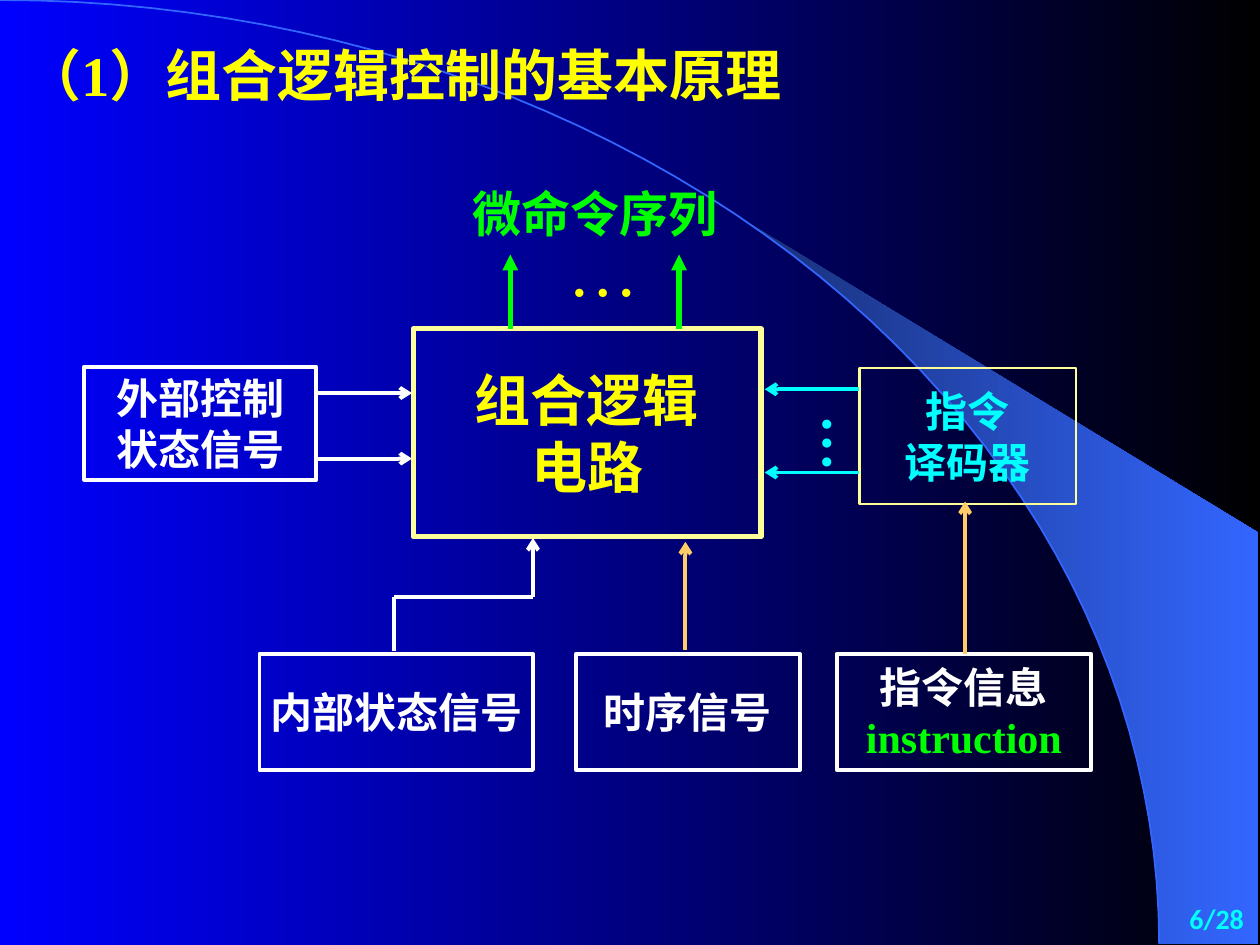
from dataclasses import dataclass
from math import asin, cos, pi, sin

from pptx import Presentation
from pptx.dml.color import RGBColor
from pptx.enum.shapes import MSO_CONNECTOR, MSO_SHAPE
from pptx.enum.text import MSO_ANCHOR, PP_ALIGN
from pptx.oxml.ns import qn
from pptx.util import Inches, Pt


@dataclass(frozen=True)
class Theme:
    blue: str = "0000FF"
    black: str = "000000"
    navy: str = "182F76"
    azure: str = "3366FF"
    yellow: str = "FFFF00"
    cream: str = "FFFF99"
    green: str = "00FF00"
    cyan: str = "00FFFF"
    orange: str = "FFCC66"
    white: str = "FFFFFF"
    latin: str = "Times New Roman"
    cjk: str = "Noto Sans CJK SC"
    number: str = "Calibri"
    dots: int = 40
    large: int = 32
    heading: int = 28
    body: int = 24
    small: int = 16
    thick: float = 3
    medium: float = 2.25
    thin: float = 1.5
    hairline: float = 1


class Diagram:
    COLS, ROWS = 100, 75

    def __init__(self, prs, theme):
        self.theme = theme
        self.cell_w = prs.slide_width / self.COLS
        self.cell_h = prs.slide_height / self.ROWS
        self.slide = prs.slides.add_slide(prs.slide_layouts[5])
        self.shapes = self.slide.shapes

    def point(self, col, row):
        return round(col * self.cell_w), round(row * self.cell_h)

    def box_at(self, col, row, cols, rows):
        return *self.point(col, row), *self.point(cols, rows)

    def gradient(self, fill, *colors):
        fill.gradient()
        fill.gradient_angle = 0
        for i, color in enumerate(colors):
            stop = fill.gradient_stops[i]
            stop.position = i
            stop.color.rgb = RGBColor.from_string(color)

    def background(self, *colors):
        self.gradient(self.slide.background.fill, *colors)

    def outline(self, points, closed):
        start, *rest = [self.point(*xy) for xy in points]
        builder = self.shapes.build_freeform(*start)
        builder.add_line_segments(rest, close=closed)
        sp = builder.convert_to_shape()
        sp.shadow.inherit = False
        return sp

    def wing(self, points, *colors):
        sp = self.outline(points, True)
        self.gradient(sp.fill, *colors)
        sp.line.fill.background()

    def curve(self, points, color, width):
        sp = self.outline(points, False)
        sp.fill.background()
        self.stroke(sp.line, color, width)

    def stroke(self, line, color, width):
        line.color.rgb = RGBColor.from_string(color)
        line.width = Pt(width)

    def set_text(self, sp, text, size, color, font=None, bold=True,
                 align=PP_ALIGN.CENTER, anchor=MSO_ANCHOR.TOP, wrap=True):
        tf = sp.text_frame
        tf.text = text
        tf.word_wrap = wrap
        tf.vertical_anchor = anchor
        tf.margin_left = tf.margin_right = Inches(0.1)
        tf.margin_top = tf.margin_bottom = Inches(0.05)
        for p in tf.paragraphs:
            p.alignment = align
            for r in p.runs:
                r.font.name = font or self.theme.latin
                r.font.size = Pt(size)
                r.font.bold = bold
                r.font.color.rgb = RGBColor.from_string(color)
                rpr = r.font._element
                rpr.set("lang", "zh-CN")
                ea = rpr.makeelement(qn("a:ea"), {"typeface": self.theme.cjk})
                rpr.find(qn("a:latin")).addnext(ea)
        return tf

    def title(self, place, text, size, color):
        sp = self.shapes.title
        sp.left, sp.top, sp.width, sp.height = self.box_at(*place)
        self.set_text(sp, text, size, color, align=PP_ALIGN.LEFT)
        self.shapes._spTree.append(sp._element)

    def label(self, place, text, size, color, vertical=False, **style):
        sp = self.shapes.add_textbox(*self.box_at(*place))
        tf = self.set_text(sp, text, size, color, **style)
        if vertical:
            tf._txBody.bodyPr.set("vert", "eaVert")
            tf.margin_left = tf.margin_right = Inches(0.05)
            tf.margin_top = tf.margin_bottom = Inches(0.1)

    def box(self, place, text, size, color, border, width, wrap=False,
            anchor=MSO_ANCHOR.MIDDLE, font=None):
        sp = self.shapes.add_shape(MSO_SHAPE.RECTANGLE, *self.box_at(*place))
        sp.shadow.inherit = False
        sp.fill.background()
        self.stroke(sp.line, border, width)
        return self.set_text(sp, text, size, color, font,
                             wrap=wrap, anchor=anchor)

    def line(self, start, end, color, width, tip=None):
        cxn = self.shapes.add_connector(
            MSO_CONNECTOR.STRAIGHT, *self.point(*start), *self.point(*end))
        self.stroke(cxn.line, color, width)
        if tip:
            ln = cxn.line._get_or_add_ln()
            ln.append(ln.makeelement(qn("a:tailEnd"), {"type": tip}))
        sppr = cxn._element.spPr
        sppr.append(sppr.makeelement(qn("a:effectLst"), {}))


def ellipse_arc(first_col, cols=92, rows=74.9, steps=48):
    first = asin(first_col / cols)
    angles = [first + (pi / 2 - first) * i / steps for i in range(steps + 1)]
    return [(cols * sin(a), rows * (1 - cos(a))) for a in angles]


def main():
    prs = Presentation()
    prs.slide_width, prs.slide_height = Inches(10), Inches(7.5)
    t = Theme()
    d = Diagram(prs, t)

    d.background(t.blue, t.black)
    d.wing(ellipse_arc(58.9) + [(99.9, 74.9), (99.9, 42.3)], t.navy, t.azure)
    d.curve(ellipse_arc(0), t.azure, t.hairline)
    d.title((1, 2.7, 67.1, 6.4), "（1）组合逻辑控制的基本原理", t.large, t.yellow)

    d.box((32.8, 26.1, 27.6, 16.5), "组合逻辑\n电路", t.large, t.yellow,
          t.cream, t.thick)
    for col in (40.5, 53.9):
        d.line((col, 26.1), (col, 20.2), t.green, t.thick, "triangle")
    d.label((44.1, 17.5, 11.7, 7.7), "…", t.dots, t.yellow, bold=False,
            align=PP_ALIGN.LEFT)
    d.label((36.4, 14.1, 21.7, 5.7), "微命令序列", t.heading, t.green)

    d.box((68.2, 29.2, 17.2, 10.8), "指令\n译码器", t.body, t.cyan,
          t.cream, t.thin, font=t.cjk)
    for row in (30.9, 37.5):
        d.line((68.2, row), (60.7, row), t.cyan, t.medium, "arrow")
    d.label((63, 32, 7.3, 5.8), "…", t.large, t.cyan, vertical=True,
            align=PP_ALIGN.LEFT)

    for row in (31.2, 36.4):
        d.line((25.1, row), (32.7, row), t.white, t.medium, "arrow")
    d.box((6.7, 29.1, 18.4, 9), "外部控制状态信号", t.body, t.white,
          t.white, t.medium, wrap=True, anchor=MSO_ANCHOR.TOP)

    for col, cols, text, font in (
            (20.6, 21.7, "内部状态信号", t.cjk),
            (45.7, 17.8, "时序信号", t.latin),
            (66.4, 20.2, "指令信息\ninstruction", t.latin)):
        tf = d.box((col, 51.9, cols, 9.2), text, t.body, t.white,
                   t.white, t.medium, font=font)
    tf.paragraphs[1].runs[0].font.color.rgb = RGBColor.from_string(t.green)

    d.line((31.3, 51.7), (31.3, 47.4), t.white, t.medium)
    d.line((31.3, 47.4), (42.3, 47.4), t.white, t.medium)
    d.line((42.3, 47.4), (42.3, 42.7), t.white, t.medium, "arrow")
    d.line((54.4, 51.6), (54.4, 43), t.orange, t.medium, "arrow")
    d.line((76.6, 51.9), (76.6, 39.8), t.orange, t.medium, "arrow")

    d.label((87.9, 70.9, 11.8, 3.9), "6/28", t.small, t.cyan, font=t.number,
            align=PP_ALIGN.RIGHT, anchor=MSO_ANCHOR.MIDDLE)
    prs.save("out.pptx")


if __name__ == "__main__":
    main()
